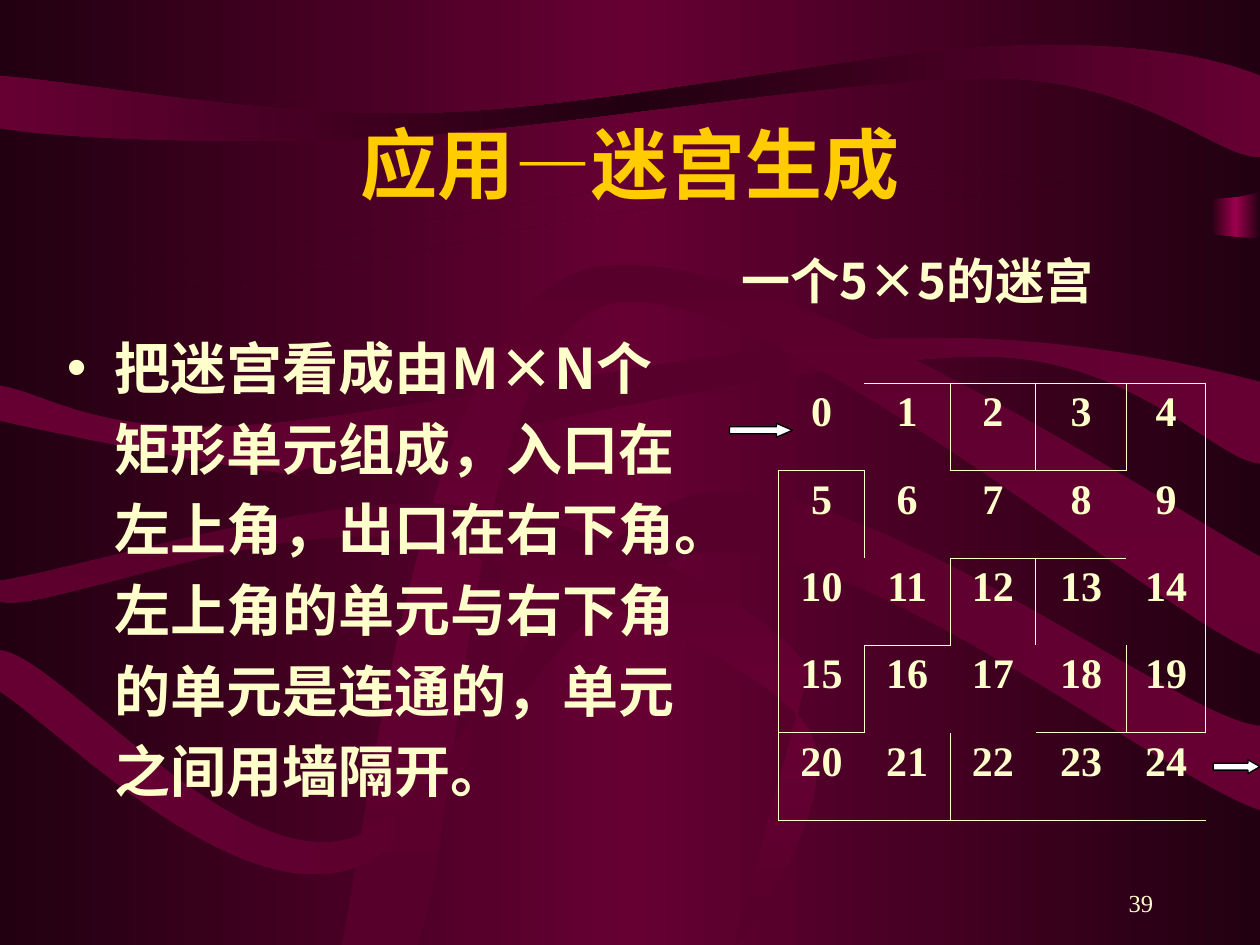
from copy import deepcopy
from dataclasses import dataclass
from lxml.etree import SubElement
from pptx import Presentation
from pptx.dml.color import RGBColor as RGB
from pptx.enum.shapes import MSO_SHAPE as Preset
from pptx.enum.text import MSO_ANCHOR as Anchor, MSO_AUTO_SIZE as AutoSize, PP_ALIGN as Align
from pptx.oxml.ns import qn
from pptx.util import Emu, Pt

PX = 9144  # EMU in one px, 100 px to the inch


@dataclass(frozen=True)
class Theme:
    dark: str = "220011"
    wine: str = "660033"
    shade: str = "56002B"
    glow: str = "9C004E"
    gold: str = "FFCC00"
    cream: str = "FFFFCC"
    white: str = "FFFFFF"
    black: str = "000000"
    serif: str = "Times New Roman"
    sans: str = "Noto Sans CJK SC"
    title: int = 44
    body: int = 32
    caption: int = 28
    cell: int = 24
    number: int = 14


THEME = Theme()


def px(length):
    return Emu(length * PX)


def set_values(target, values):
    for name, value in values.items():
        setattr(target, name, value)


class SlideBuilder:
    def __init__(self, slide, theme):
        self.slide = slide
        self.theme = theme

    def gradient(self, fill, owner, edge, middle, angle=0):
        fill.gradient()
        fill.gradient_angle = angle
        stop_list = owner.find(".//" + qn("a:gsLst"))
        stop_list.insert(1, deepcopy(stop_list[0]))
        for stop, position, color in zip(fill.gradient_stops, (0, 0.5, 1), (edge, middle, edge)):
            stop.position = position
            stop.color.rgb = RGB.from_string(color)

    def background(self, edge, middle):
        self.gradient(self.slide.background.fill, self.slide.element, edge, middle)

    def preset(self, kind, box):
        shape = self.slide.shapes.add_shape(kind, *map(px, box))
        shape.shadow.inherit = False
        return shape

    def band(self, box, edge, middle):
        shape = self.preset(Preset.RECTANGLE, box)
        self.gradient(shape.fill, shape.element, edge, middle)
        shape.line.fill.background()

    def ribbon(self, start, segments, edge, middle, angle=0):
        """Closed outline: two numbers make a line, six make a Bézier curve."""
        builder = self.slide.shapes.build_freeform(*start, scale=PX)
        for segment in segments:
            builder.add_line_segments(list(zip(segment[::2], segment[1::2])), close=False)
        builder.add_line_segments([start], close=True)
        shape = builder.convert_to_shape()
        outline = shape.element.find(".//" + qn("a:path"))
        lines = iter(outline.findall(qn("a:lnTo")))
        for segment in segments:
            members = [next(lines) for _ in segment[::2]]
            if len(members) == 3:
                curve = SubElement(outline, qn("a:cubicBezTo"))
                members[0].addprevious(curve)
                for member in members:
                    curve.append(member[0])
                    outline.remove(member)
        shape.shadow.inherit = False
        self.gradient(shape.fill, shape.element, edge, middle, angle)
        shape.line.fill.background()

    def arrow(self, box, head):
        shape = self.preset(Preset.RIGHT_ARROW, box)
        shape.adjustments[1] = head
        shape.fill.solid()
        shape.fill.fore_color.rgb = RGB.from_string(self.theme.white)
        shape.line.color.rgb = RGB.from_string(self.theme.black)
        shape.line.width = Pt(0.75)

    def add_runs(self, paragraph, runs, size, color, bold=True):
        for text, font_name in runs:
            run = paragraph.add_run()
            run.text = text
            set_values(run.font, dict(size=Pt(size), bold=bold, name=font_name))
            run.font.color.rgb = RGB.from_string(color)
            east_asian = SubElement(run._r.get_or_add_rPr(), qn("a:ea"))
            east_asian.set("typeface", self.theme.sans)

    def place(self, shape, box, anchor):
        set_values(shape, dict(zip(("left", "top", "width", "height"), map(px, box))))
        frame = shape.text_frame
        set_values(frame, dict(word_wrap=True, auto_size=AutoSize.NONE, vertical_anchor=anchor))
        return frame.paragraphs[0]

    def placeholder(self, index, box, anchor):
        shape = self.slide.placeholders[index]
        self.slide.shapes.element.append(shape.element)  # in front of the ribbons
        return self.place(shape, box, anchor)

    def title(self, box, runs):
        paragraph = self.placeholder(0, box, Anchor.MIDDLE)
        paragraph.alignment = Align.CENTER
        self.add_runs(paragraph, runs, self.theme.title, self.theme.gold)

    def bullet(self, box, text):
        paragraph = self.placeholder(1, box, Anchor.TOP)
        properties = paragraph._p.get_or_add_pPr()
        properties.set("marL", str(px(38)))
        properties.set("indent", str(-px(38)))
        color = SubElement(SubElement(properties, qn("a:buClr")), qn("a:srgbClr"))
        color.set("val", self.theme.cream)
        SubElement(properties, qn("a:buChar")).set("char", "•")
        set_values(paragraph, dict(line_spacing=1.2, space_before=Pt(0)))
        self.add_runs(paragraph, [(text, self.theme.sans)], self.theme.body, self.theme.cream)

    def label(self, box, text, font_name, size, bold=True, align=Align.LEFT, anchor=Anchor.TOP):
        shape = self.slide.shapes.add_textbox(0, 0, 0, 0)
        paragraph = self.place(shape, box, anchor)
        paragraph.alignment = align
        self.add_runs(paragraph, [(text, font_name)], size, self.theme.cream, bold)

    def border(self, cell, side, visible):
        line = SubElement(cell._tc.get_or_add_tcPr(), qn("a:ln" + side))
        line.set("w", str(Pt(0.45)))
        if visible:
            fill = SubElement(line, qn("a:solidFill"))
            SubElement(fill, qn("a:srgbClr")).set("val", self.theme.cream)
        else:
            SubElement(line, qn("a:noFill"))

    def maze(self, box, widths, across, down):
        """Numbered cells; '#' marks a wall along each row edge and column edge."""
        rows, columns = len(down), len(widths)
        table = self.slide.shapes.add_table(rows, columns, *map(px, box)).table
        set_values(table, dict(first_row=False, horz_banding=False))
        for column, width in zip(table.columns, widths):
            column.width = px(width)
        for r, row in enumerate(table.rows):
            row.height = Emu(px(box[3]) // rows)
            for c, cell in enumerate(row.cells):
                walls = dict(L=down[r][c], R=down[r][c + 1], T=across[r][c], B=across[r + 1][c])
                for side, mark in walls.items():
                    self.border(cell, side, mark == "#")
                cell.fill.background()
                paragraph = cell.text_frame.paragraphs[0]
                paragraph.alignment = Align.CENTER
                number = str(r * columns + c)
                self.add_runs(paragraph, [(number, self.theme.serif)], self.theme.cell, self.theme.cream)


def main():
    presentation = Presentation()
    set_values(presentation, dict(slide_width=px(1000), slide_height=px(750)))
    slide = presentation.slides.add_slide(presentation.slide_layouts[1])
    builder = SlideBuilder(slide, THEME)
    dark, wine, shade = THEME.dark, THEME.wine, THEME.shade

    # Backdrop and ribbons
    builder.background(dark, wine)
    builder.band((961, 49, 39, 345), dark, THEME.glow)
    builder.ribbon((0, 0), [(1000, 0), (1000, 152), (938, 174, 792, 122, 625, 132),
                            (458, 142, 104, 233, 0, 211)], dark, wine)
    builder.ribbon((0, 228), [(178, 245, 340, 194, 458, 174), (586, 155),
                              (715, 127, 917, 189, 1000, 189), (1000, 750), (0, 750)], dark, wine)
    builder.ribbon((0, 60), [(0, 102), (51, 110, 176, 115, 308, 109), (440, 102, 679, 60, 794, 62),
                             (909, 65, 966, 125, 1000, 125), (1000, 60), (965, 46, 901, 32, 792, 37),
                             (682, 42, 477, 86, 345, 90), (213, 94, 72, 66, 0, 60)], wine, dark)
    builder.ribbon((0, 306), [(0, 334), (37, 343, 175, 370, 222, 375), (269, 380, 190, 379, 282, 364),
                              (375, 348, 660, 282, 780, 283), (900, 283, 963, 365, 1000, 368),
                              (1000, 303), (950, 290, 836, 263, 701, 269),
                              (566, 274, 307, 332, 190, 338), (73, 344, 40, 313, 0, 306)], wine, shade)
    builder.ribbon((271, 750), [(291, 661, 332, 269, 454, 218), (575, 166, 909, 392, 1000, 442),
                                (1000, 519), (913, 485, 591, 205, 479, 243),
                                (368, 282, 366, 666, 331, 750)], shade, wine, 90)
    builder.ribbon((0, 516), [(0, 549), (45, 578, 174, 711, 269, 692), (363, 674, 443, 446, 565, 438),
                              (687, 429, 927, 620, 1000, 643), (1000, 576),
                              (938, 572, 691, 377, 562, 391), (441, 406, 367, 646, 273, 667),
                              (179, 687, 45, 520, 0, 516)], wine, shade)
    builder.ribbon((0, 461), [(0, 477), (26, 489, 208, 413, 314, 428), (420, 444, 592, 518, 637, 572),
                              (682, 625, 582, 757, 583, 750), (642, 532),
                              (606, 474, 473, 413, 366, 401), (259, 389, 76, 448, 0, 461)], shade, wine, 90)

    # Text
    builder.label((717, 683, 208, 50), "39", THEME.serif, THEME.number, False, Align.RIGHT, Anchor.BOTTOM)
    builder.title((75, 67, 850, 125),
                  [("应用", THEME.serif), ("—", THEME.sans), ("迷宫生成", THEME.serif)])
    builder.bullet((43, 249, 528, 450), "把迷宫看成由M×N个矩形单元组成，入口在左上角，出口在右下角。"
                   "左上角的单元与右下角的单元是连通的，单元之间用墙隔开。")
    builder.label((579, 194, 398, 57), "一个5×5的迷宫", THEME.sans, THEME.caption)

    # Maze with its entrance and exit
    builder.arrow((579, 336, 50, 11), 1.16)
    builder.arrow((963, 603, 37, 11), 0.87)
    builder.maze((618, 304, 339, 347), (68, 68, 68, 72, 63),
                 across=(".####", "#.##.", "..##.", ".#...", "#..##", "#####"),
                 down=("..####", "##...#", "#.##.#", "##..##", "#.#..."))
    presentation.save("out.pptx")


if __name__ == "__main__":
    main()
